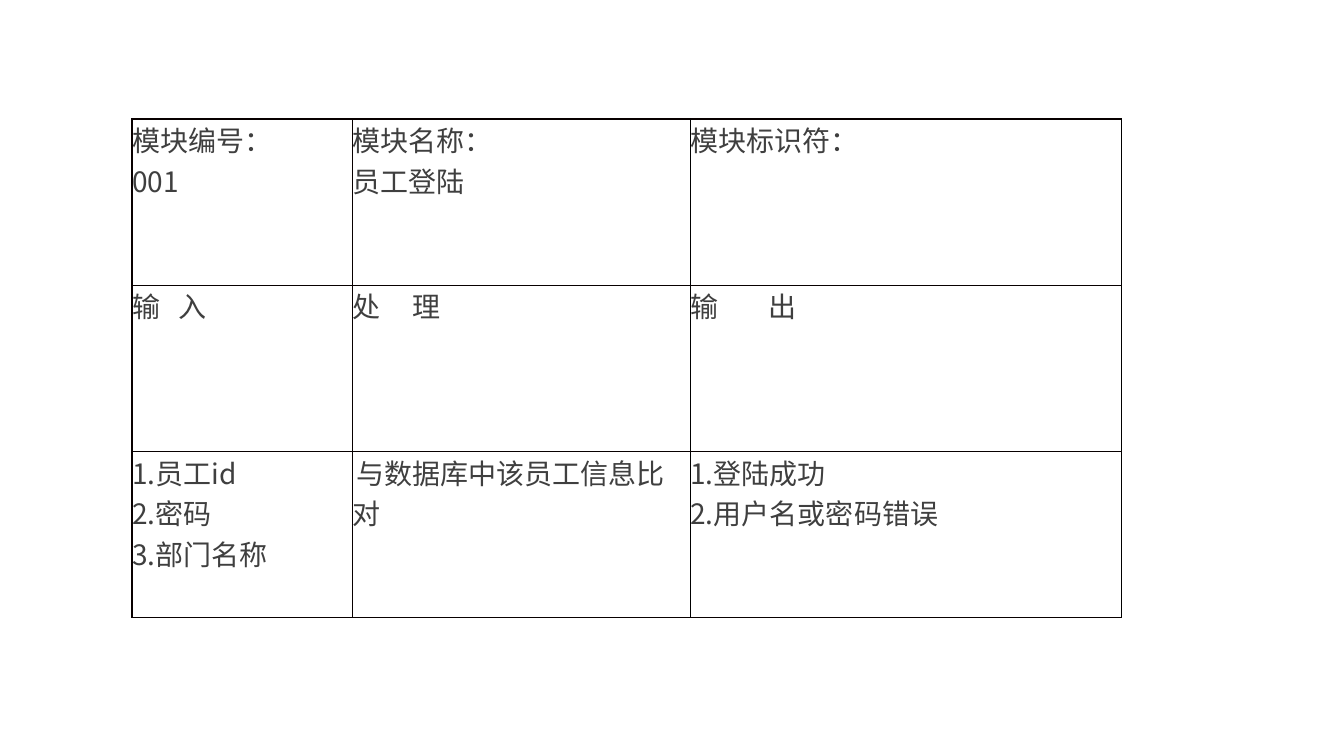
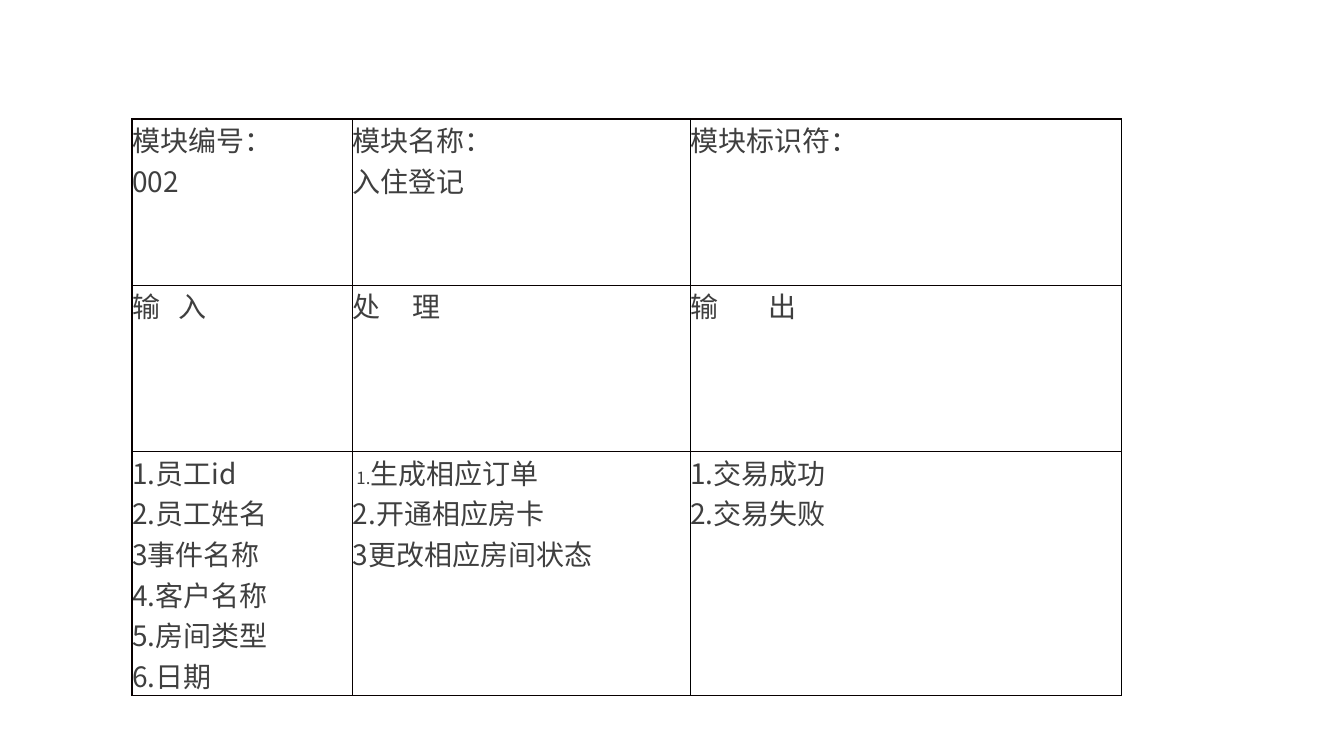
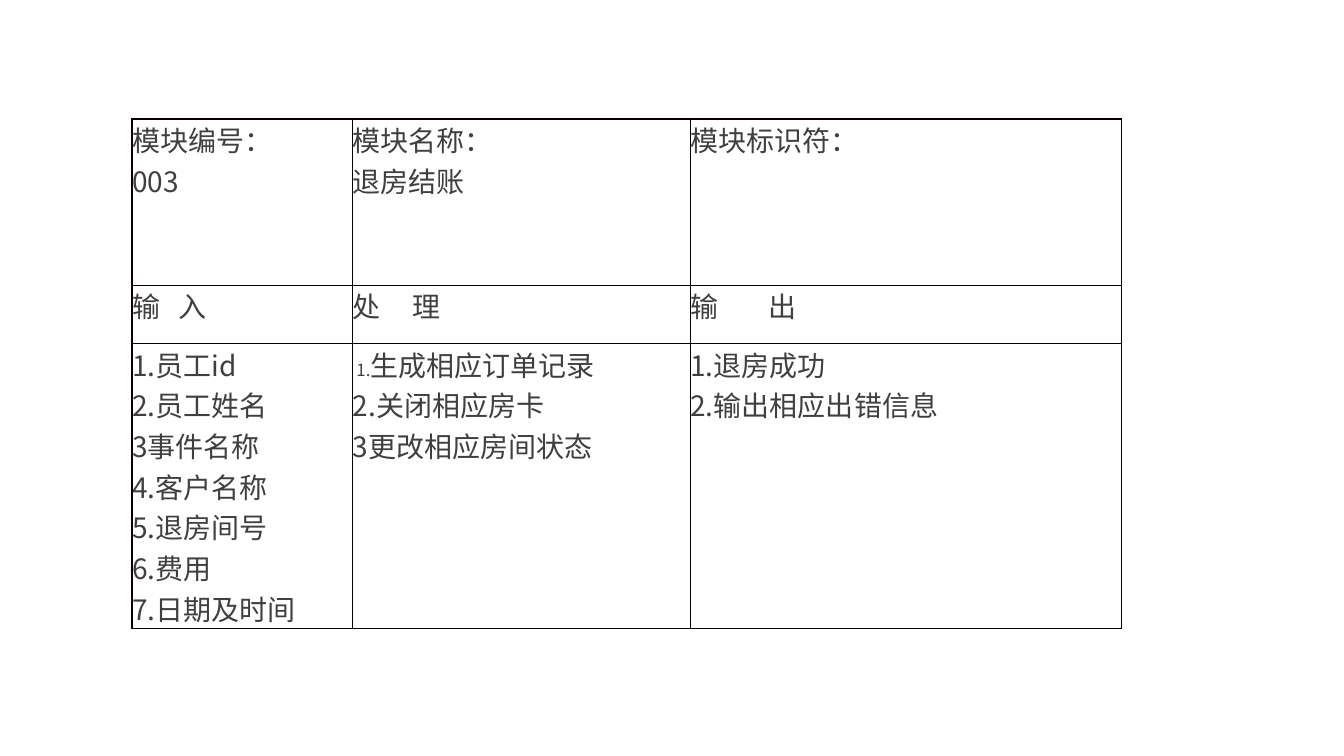
import pptx
import pptx.util
import pptx.dml.color
import pptx.oxml.ns
import lxml.etree

Pt = pptx.util.Pt
FONT, SIZE, SMALL = "Noto Sans CJK SC", 20, 12
INK, EDGE, RULE = "3F3F3F", "080000", "000000"
LEFT, TOP = 94.32, 84.96
WIDTHS = (157.68, 241.2, 308.16)
TALL, SHORT = 118.8, 41.8

# A line is a string, or a list of (text, size) runs.
LABELS = (["输\t入"], ["处\t理"], ["输\t出"])
TABS = (33.4, 42.4, 55.8)
STAFF = ["1.员工id", "2.员工姓名", "3事件名称", "4.客户名称"]
STATE = "3更改相应房间状态"
MODULES = [
    {
        "code": "001", "name": "员工登陆", "mid": TALL,
        "body": (
            ["1.员工id", "2.密码", "3.部门名称"],
            [[(" ", SMALL), ("与数据库中该员工信息比对", SIZE)]],
            ["1.登陆成功", "2.用户名或密码错误"],
        ),
    },
    {
        "code": "002", "name": "入住登记", "mid": TALL,
        "body": (
            STAFF + ["5.房间类型", "6.日期"],
            [[(" 1.", SMALL), ("生成相应订单", SIZE)], "2.开通相应房卡", STATE],
            ["1.交易成功", "2.交易失败"],
        ),
    },
    {
        "code": "003", "name": "退房结账", "mid": SHORT,
        "body": (
            STAFF + ["5.退房间号", "6.费用", "7.日期及时间"],
            [[(" 1.", SMALL), ("生成相应订单记录", SIZE)], "2.关闭相应房卡", STATE],
            ["1.退房成功", "2.输出相应出错信息"],
        ),
    },
]


def color(code):
    return pptx.dml.color.RGBColor.from_string(code)


def child(node, tag, **attrs):
    """Append a drawing element to node."""
    return lxml.etree.SubElement(node, pptx.oxml.ns.qn("a:" + tag), attrs)


def add_run(para, text, size):
    run = para.add_run()
    run.text = text
    font = run.font
    font.size, font.name = Pt(size), FONT
    font.color.rgb = color(INK)
    child(run._r.get_or_add_rPr(), "ea", typeface=FONT)


def fill_cell(cell, lines, tab):
    cell.margin_left = cell.margin_right = 0
    cell.margin_top = cell.margin_bottom = 0
    frame = cell.text_frame
    for i, line in enumerate(lines):
        para = frame.paragraphs[0] if i == 0 else frame.add_paragraph()
        runs = [(line, SIZE)] if isinstance(line, str) else line
        for text, size in runs:
            add_run(para, text, size)
        if "\t" in line:
            stops = child(para._p.get_or_add_pPr(), "tabLst")
            child(stops, "tab", pos=str(int(Pt(tab))), algn="l")


def frame_cell(cell, col):
    """Draw the four borders; the right-hand column has finer rules."""
    bold, fine = (EDGE, 1), (RULE, 0.75)
    sides = {
        "lnL": fine if col == 2 else bold,
        "lnR": bold if col == 0 else fine,
        "lnT": bold,
        "lnB": bold,
    }
    props = cell._tc.get_or_add_tcPr()
    for tag, (code, width) in sides.items():
        line = child(props, tag, w=str(int(Pt(width))))
        child(child(line, "solidFill"), "srgbClr", val=code)
    cell.fill.background()


def add_module(deck, module):
    slide = deck.slides.add_slide(deck.slide_layouts[6])
    head = (["模块编号：", module["code"]], ["模块名称：", module["name"]], ["模块标识符："])
    rows = (head, LABELS, module["body"])
    highs = (TALL, module["mid"], TALL)
    table = slide.shapes.add_table(
        len(rows), len(WIDTHS), Pt(LEFT), Pt(TOP), Pt(sum(WIDTHS)), Pt(sum(highs))
    ).table
    table.first_row = table.horz_banding = False
    for col, width in enumerate(WIDTHS):
        table.columns[col].width = Pt(width)
    for r, (row, high) in enumerate(zip(rows, highs)):
        table.rows[r].height = Pt(high)
        for c, lines in enumerate(row):
            cell = table.cell(r, c)
            fill_cell(cell, lines, TABS[c])
            frame_cell(cell, c)


def main():
    deck = pptx.Presentation()
    deck.slide_width, deck.slide_height = Pt(960), Pt(540)
    for module in MODULES:
        add_module(deck, module)
    deck.save("out.pptx")


if __name__ == "__main__":
    main()
